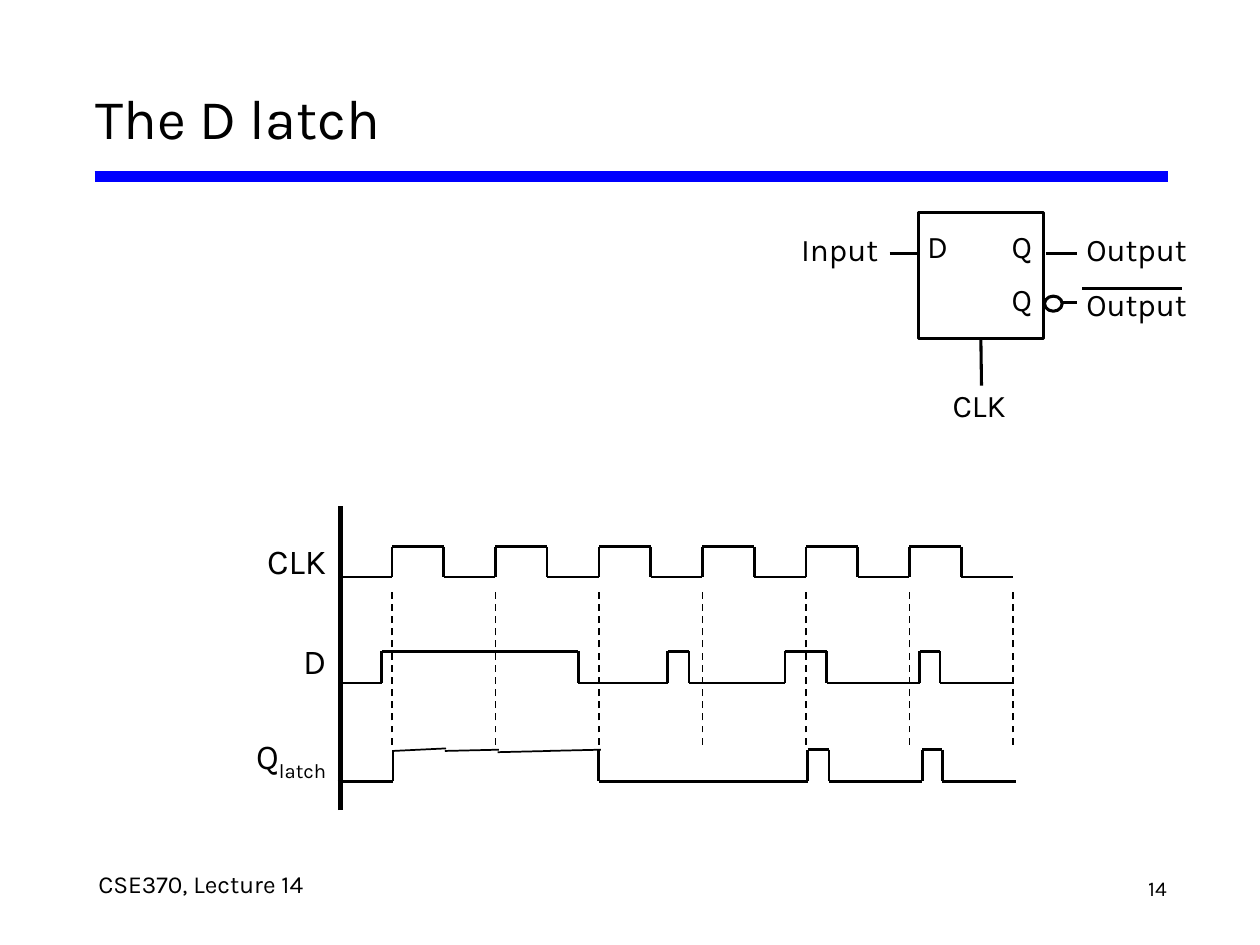
from lxml import etree
from pptx import Presentation
from pptx import util as u
from pptx.dml.color import RGBColor
from pptx.enum import dml, shapes, text
from pptx.oxml import ns

COLORS = {"ink": "000000", "paper": "FFFFFF", "rule": "0000FF"}
FONT = "Karla"
LEFT, CENTER, RIGHT = text.PP_ALIGN.LEFT, text.PP_ALIGN.CENTER, text.PP_ALIGN.RIGHT

# Timing diagram: one clock period between neighbouring rising edges
AXIS_X, FIRST_EDGE, END_X, CYCLES = 2.7, 3.11, 8.04, 6
PERIOD = (END_X - FIRST_EDGE) / CYCLES


def rgb(name):
    return RGBColor.from_string(COLORS[name])


def add_line(parent, start, end, width=1.5, color="ink", dash=None):
    ends = [u.Inches(value) for value in (*start, *end)]
    wire = parent.add_connector(shapes.MSO_CONNECTOR.STRAIGHT, *ends)
    wire.line.color.rgb = rgb(color)
    wire.line.width = u.Pt(width)
    if dash:
        wire.line.dash_style = dash
    etree.SubElement(wire._element.spPr, ns.qn("a:effectLst"))
    return wire


def add_outline(parent, kind, box):
    outline = parent.add_shape(kind, *[u.Inches(value) for value in box])
    outline.shadow.inherit = False
    outline.fill.solid()
    outline.fill.fore_color.rgb = rgb("paper")
    outline.line.color.rgb = rgb("ink")
    outline.line.width = u.Pt(1.75)
    return outline


def add_run(paragraph, words, size):
    run = paragraph.add_run()
    run.text = words
    run.font.name = FONT
    run.font.size = u.Pt(size)
    run.font.color.rgb = rgb("ink")
    return run


def add_frame(parent, box, insets=(0.02, 0.03), grow=False):
    frame = parent.add_textbox(*[u.Inches(value) for value in box]).text_frame
    frame.margin_left = frame.margin_right = u.Inches(insets[0])
    frame.margin_top = frame.margin_bottom = u.Inches(insets[1])
    frame.word_wrap = False
    if grow:
        frame.auto_size = text.MSO_AUTO_SIZE.SHAPE_TO_FIT_TEXT
    return frame


def add_label(parent, words, box, size=18, align=LEFT, spacing=16, **frame_options):
    paragraph = add_frame(parent, box, **frame_options).paragraphs[0]
    paragraph.alignment = align
    paragraph.line_spacing = u.Pt(spacing)
    add_run(paragraph, words, size)


def add_wave(parent, start, edges, end, low, high, is_high=False):
    """Draw a signal that changes level at each edge."""
    y = high if is_high else low
    points = [(start, y)]
    for x in edges:
        points.append((x, y))
        y = low if y == high else high
        points.append((x, y))
    points.append((end, y))
    for here, there in zip(points, points[1:]):
        if here != there:
            add_line(parent, here, there)


def add_title(slide):
    title = slide.shapes.title
    title.left, title.top = u.Inches(0.66), u.Inches(0.52)
    title.width, title.height = u.Inches(8.68), u.Inches(0.82)
    frame = title.text_frame
    frame.auto_size = text.MSO_AUTO_SIZE.NONE
    frame.vertical_anchor = text.MSO_ANCHOR.MIDDLE
    frame.paragraphs[0].alignment = LEFT
    add_run(frame.paragraphs[0], "The D latch", 32)


def add_symbol(slide):
    # Block with its pins
    symbol = slide.shapes.add_group_shape().shapes
    block = add_outline(symbol, shapes.MSO_SHAPE.RECTANGLE, (7.29, 1.69, 0.99, 1))
    for pin, box in (("D", (7.35, 1.91, 0.18, 0.19)),
                     ("Q", (8.01, 1.91, 0.2, 0.19)),
                     ("Q", (8.01, 2.33, 0.2, 0.19))):
        add_label(symbol, pin, box, align=CENTER, spacing=14, insets=(0, 0), grow=True)

    # Wires, inverting bubble and clock
    for left, right, y in ((7.06, 7.3, 2.01), (8.3, 8.55, 2.01), (8.3, 8.55, 2.4)):
        add_line(symbol, (left, y), (right, y), 1.75)
    add_outline(symbol, shapes.MSO_SHAPE.OVAL, (8.29, 2.35, 0.14, 0.12))
    clock_wire = add_line(symbol, (7.79, 2.69), (7.79, 3.06), 1.75)
    clock_wire.begin_connect(block, 2)
    add_label(symbol, "CLK", (7.54, 3.11, 0.78, 0.41))

    # Signal names outside the block
    for name, box in (("Input", (6.31, 1.86, 0.68, 0.29)),
                      ("Output", (8.56, 1.86, 0.88, 0.29)),
                      ("Output", (8.56, 2.3, 0.88, 0.29))):
        add_label(slide.shapes, name, box, align=RIGHT, spacing=16.7, grow=True)
    add_line(slide.shapes, (8.59, 2.29), (9.38, 2.29))


def add_signal_names(slide):
    frame = add_frame(slide.shapes, (1.85, 4.19, 0.76, 2.31))
    for index, name in enumerate(("CLK", "D", "Q")):
        paragraph = frame.add_paragraph() if index else frame.paragraphs[0]
        paragraph.alignment = RIGHT
        paragraph.line_spacing = u.Pt(28.6)
        if index:
            paragraph.space_before = u.Pt(28.6)
        add_run(paragraph, name, 20)
    subscript = add_run(paragraph, "latch", 20)
    subscript.font._element.set("baseline", "-25000")


def add_timing(slide):
    canvas = slide.shapes

    # Axis and period guides
    add_line(canvas, (AXIS_X, 6.43), (AXIS_X, 4.02), 3)
    guides = canvas.add_group_shape().shapes
    for cycle in range(CYCLES + 1):
        x = FIRST_EDGE + cycle * PERIOD
        add_line(guides, (x, 5.91), (x, 4.66), 1, dash=dml.MSO_LINE.DASH)
    add_signal_names(slide)

    # Clock
    clock_edges = [FIRST_EDGE + half * PERIOD / 2 for half in range(2 * CYCLES)]
    add_wave(canvas, AXIS_X, clock_edges, END_X, 4.58, 4.34)

    # Latch output, with a hand-drawn first high level
    add_wave(canvas, 2.68, [3.12], 3.12, 6.2, 5.95)
    add_wave(canvas, 4.75, [4.75, 6.41, 6.58, 7.32, 7.48], 8.06, 6.2, 5.95, is_high=True)
    for start, end in (((3.54, 5.94), (3.12, 5.96)), ((3.96, 5.95), (3.53, 5.96)),
                       ((4.37, 5.96), (3.95, 5.97)), ((4.77, 5.95), (4.34, 5.96))):
        add_line(canvas, start, end, 1)

    # Data input
    data_edges = [3.03, 4.59, 5.3, 5.47, 6.23, 6.56, 7.3, 7.46]
    add_wave(canvas.add_group_shape().shapes, AXIS_X, data_edges, END_X, 5.42, 5.17)


def main():
    deck = Presentation()
    deck.slide_width, deck.slide_height = u.Inches(10), u.Inches(7.5)
    slide = deck.slides.add_slide(deck.slide_layouts[5])

    # Rule and footer
    add_line(slide.shapes, (0.75, 1.4), (9.27, 1.4), 6, "rule")
    add_label(slide.shapes, "14", (8.89, 6.9, 0.39, 0.36), size=12, align=RIGHT)
    add_label(slide.shapes, "CSE370, Lecture 14", (0.76, 6.88, 3.71, 0.37), size=14)

    add_title(slide)
    add_symbol(slide)
    add_timing(slide)
    deck.save("out.pptx")


if __name__ == "__main__":
    main()
